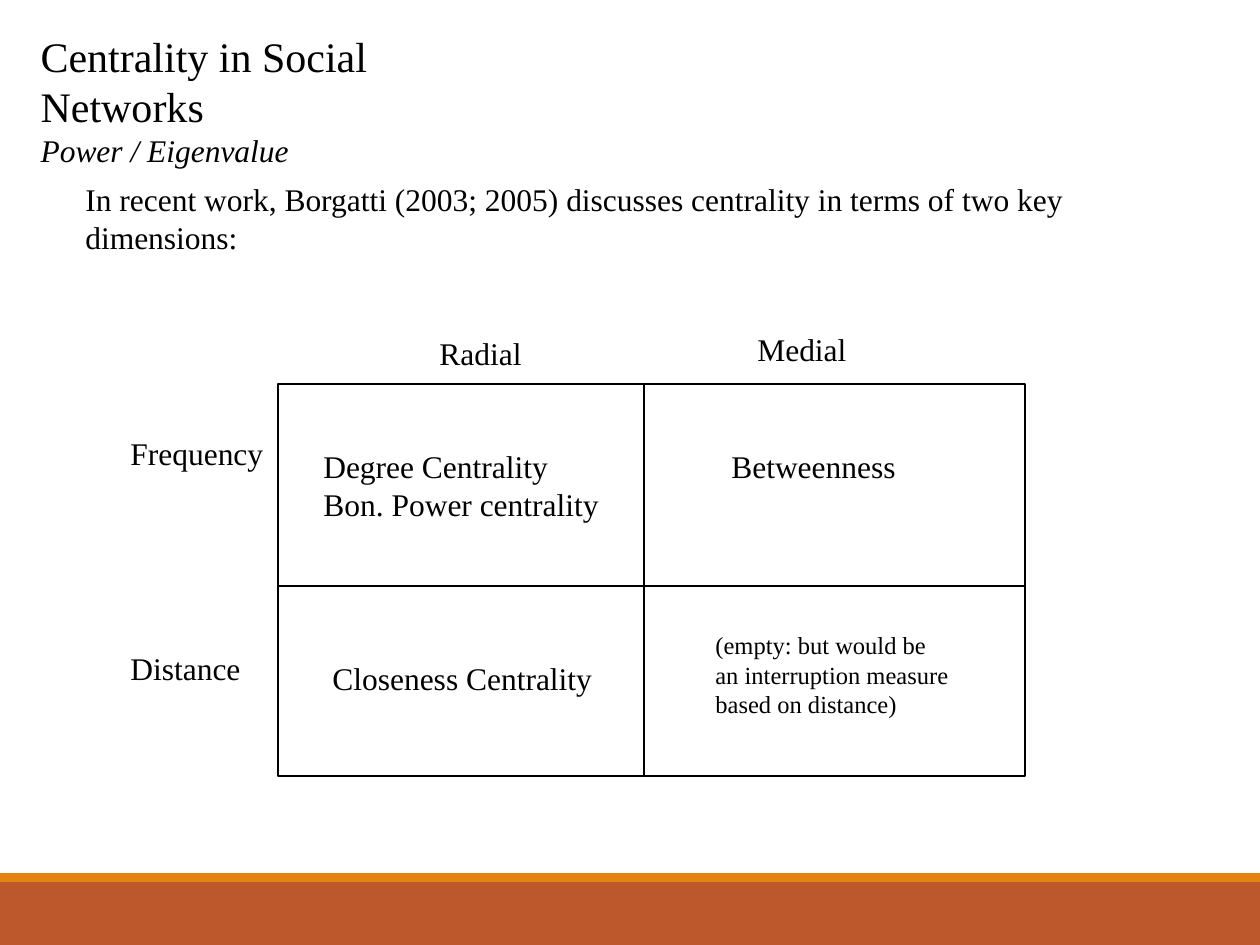
from lxml import etree
from pptx import Presentation
from pptx import util as u
from pptx.dml.color import RGBColor
from pptx.enum import shapes, text
from pptx.oxml.ns import qn

# Content: lines, then left, top, width, height in px
TITLE = ["Centrality in Social Networks", "Power / Eigenvalue"]
INTRO = ("In recent work, Borgatti (2003; 2005) discusses centrality "
         "in terms of two key dimensions:")
LABELS = [
    (["Radial"], (427, 328, 107, 50)),
    (["Medial"], (745, 324, 115, 50)),
    (["Frequency"], (118, 428, 158, 50)),
    (["Distance"], (118, 643, 135, 50)),
    (["Degree Centrality", "Bon. Power centrality"], (311, 441, 300, 88)),
    (["Closeness Centrality"], (320, 653, 285, 50)),
    (["Betweenness"], (719, 441, 189, 50)),
]
NOTE = "(empty: but would be an interruption measure based on distance)"

COLORS = {"ink": "000000", "rust": "BD582C", "gold": "E48312"}
BARS = [("rust", (0, 882, 1260, 63)), ("gold", (0, 873, 1260, 9))]
GRID = (278, 384, 747, 392)
MID_X, MID_Y = 644, 586
FONT = "Times New Roman"


def px(n):
    return u.Emu(round(n * 914400 / 126))


def color(name):
    return RGBColor.from_string(COLORS[name])


def write(box, lines, size=18, wrap=False):
    frame = box.text_frame
    frame.word_wrap = wrap
    frame.auto_size = text.MSO_AUTO_SIZE.NONE
    frame.vertical_anchor = text.MSO_ANCHOR.TOP
    frame.text = "\n".join(lines)
    for para in frame.paragraphs:
        para.alignment = text.PP_ALIGN.LEFT
        font = para.font
        font.name, font.size = FONT, u.Pt(size)
        font.color.rgb = color("ink")
    return frame.paragraphs


def label(lines, place, **style):
    return write(slide.shapes.add_textbox(*map(px, place)), lines, **style)


def rect(place, fill=None):
    box = slide.shapes.add_shape(shapes.MSO_SHAPE.RECTANGLE, *map(px, place))
    box.shadow.inherit = False
    if fill:
        box.fill.solid()
        box.fill.fore_color.rgb = color(fill)
        box.line.fill.background()
    else:
        box.fill.background()
        ink(box.line)


def ink(line):
    line.color.rgb = color("ink")
    line.width = u.Pt(0.75)


def rule(*ends):
    line = slide.shapes.add_connector(
        shapes.MSO_CONNECTOR.STRAIGHT, *map(px, ends))
    ink(line.line)
    etree.SubElement(line._element.spPr, qn("a:effectLst"))


prs = Presentation()
prs.slide_width, prs.slide_height = px(1260), px(945)
slide = prs.slides.add_slide(prs.slide_layouts[5])

# Footer bars
for fill, place in BARS:
    rect(place, fill)

# Title and subtitle
head = slide.shapes.title
head.left, head.top, head.width, head.height = map(px, (28, 24, 525, 101))
first, second = write(head, TITLE, size=24)
second.font.size, second.font.italic = u.Pt(18), True

# Intro
label([INTRO], (73, 174, 1060, 88), wrap=True)

# Two-by-two grid
left, top, width, height = GRID
rect(GRID)
rule(left, MID_Y, left + width, MID_Y)
rule(MID_X, top, MID_X, top + height)

# Headings and cells
for lines, place in LABELS:
    label(lines, place)
label([NOTE], (703, 624, 263, 101), size=14, wrap=True)

prs.save("out.pptx")
